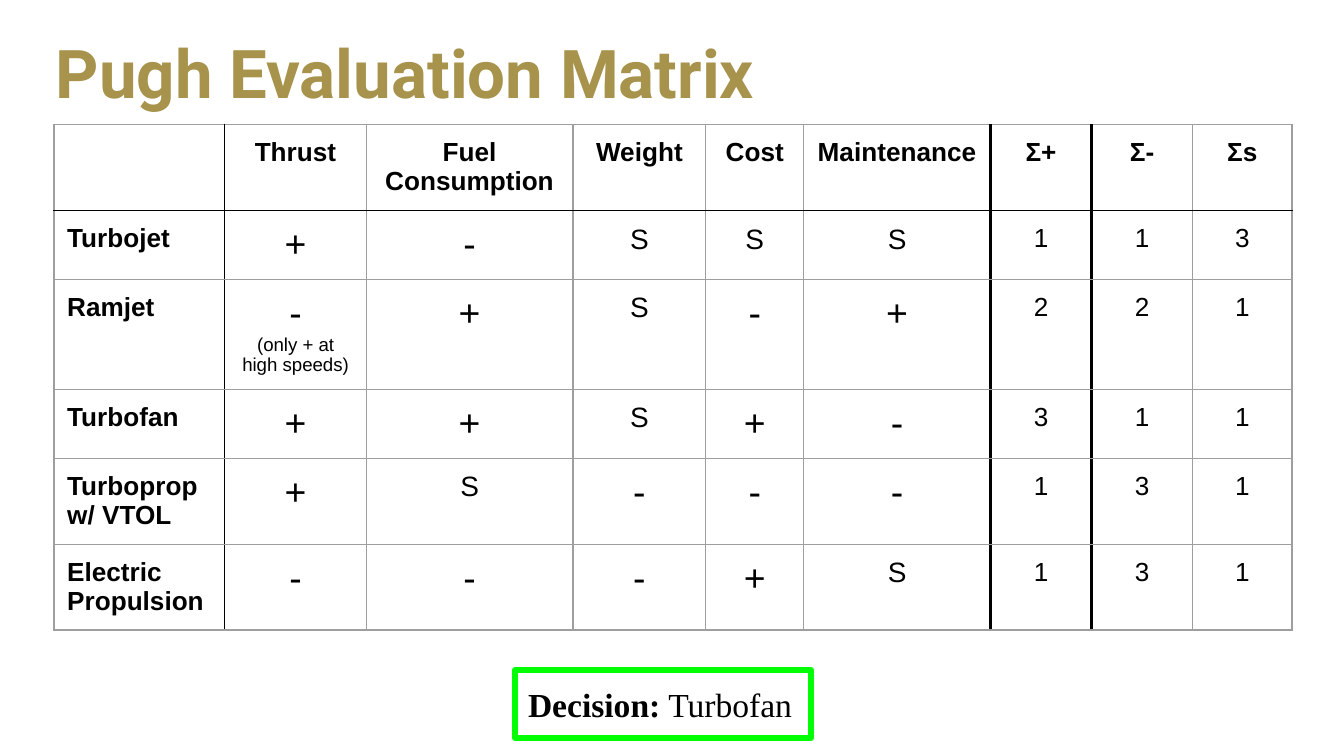
from lxml import etree
from pptx import Presentation
from pptx.dml.color import RGBColor
from pptx.enum import shapes, text
from pptx.oxml import ns
from pptx.util import Cm, Pt

GRAY, BLACK, GOLD, GREEN = "9E9E9E", "000000", "A7934B", "00FF00"
PAD = Cm(0.25)
COLS = [3.23, 2.67, 3.91, 2.51, 1.85, 3.53, 1.91, 1.91, 1.88]
ROWS = [1.63, 1.3, 2.08, 1.3, 1.63, 1.62]
SIZES = {"+": 20, "-": 20, "S": 15}
DATA = [
    ["", "Thrust", "Fuel Consumption", "Weight", "Cost", "Maintenance",
     "Σ+", "Σ-", "Σs"],
    ["Turbojet", "+", "-", "S", "S", "S", "1", "1", "3"],
    ["Ramjet", "-\n(only + at high speeds)", "+", "S", "-", "+",
     "2", "2", "1"],
    ["Turbofan", "+", "+", "S", "+", "-", "3", "1", "1"],
    ["Turboprop w/ VTOL", "+", "S", "-", "-", "-", "1", "3", "1"],
    ["Electric Propulsion", "-", "-", "-", "+", "S", "1", "3", "1"],
]


def rgb(code):
    return RGBColor.from_string(code)


def style(run, face, size, code, bold):
    font = run.font
    font.name, font.size, font.bold = face, Pt(size), bold
    font.color.rgb = rgb(code)


def inset(part):
    part.margin_left = part.margin_right = PAD
    part.margin_top = part.margin_bottom = PAD


def edge(cell, side, code, width):
    props = cell._tc.get_or_add_tcPr()
    line = etree.SubElement(props, ns.qn("a:ln" + side), w=str(Pt(width)))
    fill = etree.SubElement(line, ns.qn("a:solidFill"))
    etree.SubElement(fill, ns.qn("a:srgbClr"), val=code)


def rule(col):
    """Colour and width of the vertical line left of a column."""
    if col == 1:
        return BLACK, 0.75
    return (BLACK, 2.25) if col in (6, 7) else (GRAY, 0.75)


def title(slide, x, y, w, h):
    box = slide.shapes.title
    box.left, box.top, box.width, box.height = Cm(x), Cm(y), Cm(w), Cm(h)
    frame = box.text_frame
    frame.text = "Pugh Evaluation Matrix"
    frame.vertical_anchor = text.MSO_ANCHOR.MIDDLE
    para = frame.paragraphs[0]
    para.alignment = text.PP_ALIGN.LEFT
    para.line_spacing = 0.9
    style(para.runs[0], "Roboto", 36, GOLD, True)


def fill_cell(cell, row, col):
    # Borders come first, as the fill must follow them
    edge(cell, "L", *rule(col))
    edge(cell, "R", *rule(col + 1))
    edge(cell, "T", BLACK if row == 1 else GRAY, 0.75)
    edge(cell, "B", BLACK if row == 0 else GRAY, 0.75)
    cell.fill.background()
    inset(cell)
    cell.text_frame.text = DATA[row][col]
    head = row == 0 or col == 0
    for num, para in enumerate(cell.text_frame.paragraphs):
        if col:
            para.alignment = text.PP_ALIGN.CENTER
        for run in para.runs:
            size = 10 if num else SIZES.get(run.text, 14)
            style(run, "Arial", size, BLACK, head)


def matrix(slide, x, y, w, h):
    frame = slide.shapes.add_table(len(ROWS), len(COLS),
                                   Cm(x), Cm(y), Cm(w), Cm(h))
    table = frame.table
    table.first_row = table.horz_banding = False
    for col, width in zip(table.columns, COLS):
        col.width = Cm(width)
    for row, height in zip(table.rows, ROWS):
        row.height = Cm(height)
    for row in range(len(ROWS)):
        for col in range(len(COLS)):
            fill_cell(table.cell(row, col), row, col)


def verdict(slide, x, y, w, h):
    box = slide.shapes.add_shape(shapes.MSO_SHAPE.RECTANGLE,
                                 Cm(x), Cm(y), Cm(w), Cm(h))
    box.shadow.inherit = False
    box.fill.background()
    box.line.color.rgb = rgb(GREEN)
    box.line.width = Pt(3)
    frame = box.text_frame
    frame.word_wrap = True
    frame.vertical_anchor = text.MSO_ANCHOR.TOP
    inset(frame)
    para = frame.paragraphs[0]
    para.alignment = text.PP_ALIGN.LEFT
    for words, bold in (("Decision:", True), (" Turbofan", False)):
        run = para.add_run()
        run.text = words
        style(run, "Times New Roman", 18, BLACK, bold)


def main():
    deck = Presentation()
    deck.slide_width, deck.slide_height = Cm(25.4), Cm(14.29)
    slide = deck.slides.add_slide(deck.slide_layouts[5])
    title(slide, 0.8, 0.4, 23.82, 2.1)
    matrix(slide, 1.02, 2.35, sum(COLS), sum(ROWS))
    verdict(slide, 9.73, 12.67, 5.6, 1.28)
    deck.save("out.pptx")


if __name__ == "__main__":
    main()
